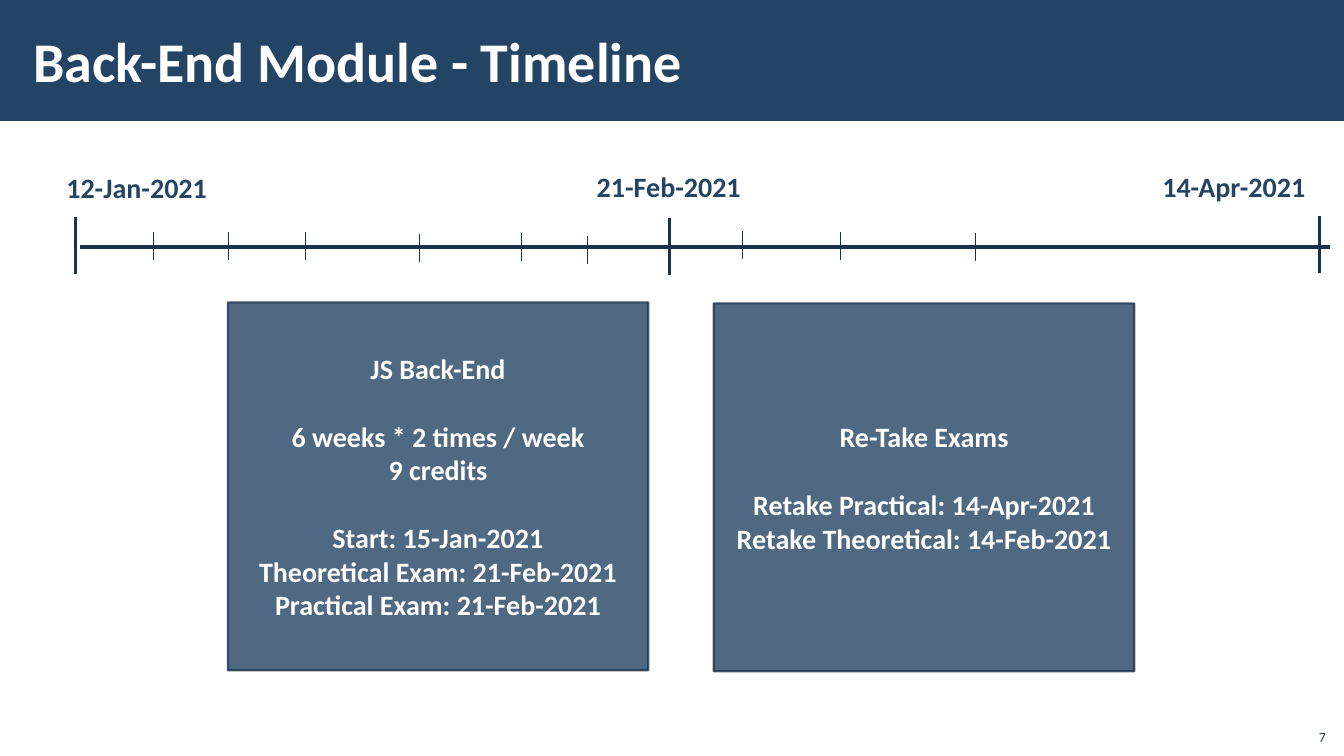
from lxml.etree import SubElement
from pptx import Presentation
from pptx.dml.color import RGBColor
from pptx.enum.shapes import MSO_CONNECTOR, MSO_SHAPE
from pptx.enum.text import MSO_ANCHOR, PP_ALIGN
from pptx.oxml.ns import qn
from pptx.util import Inches, Pt

COLORS = {"navy": "234465", "line": "1A334C", "white": "FFFFFF"}
TITLE = "Back-End Module - Timeline"
PAGE = "7"
AXIS = (0.79, 13.19, 2.45)
MILESTONES = [
    ("12-Jan-2021", 0.56, 1.64, 1.61, 0.75, 2.15),
    ("21-Feb-2021", 5.82, 1.63, 1.64, 6.64, 2.16),
    ("14-Apr-2021", 11.43, 1.63, 1.65, 13.09, 2.14),
]
WEEKS = [
    (1.52, 2.3), (2.27, 2.3), (3.03, 2.3), (4.16, 2.32), (5.17, 2.31),
    (5.83, 2.34), (7.36, 2.29), (8.33, 2.3), (9.67, 2.31),
]
PHASES = [
    (2.26, 3, [
        ["JS Back-End"],
        ["6 weeks * 2 times / week", "9 credits"],
        ["Start: 15-Jan-2021", "Theoretical Exam: 21-Feb-2021",
         "Practical Exam: 21-Feb-2021"],
    ]),
    (7.08, 3.01, [
        ["Re-Take Exams"],
        ["Retake Practical: 14-Apr-2021", "Retake Theoretical: 14-Feb-2021"],
    ]),
]
PHASE_SIZE = (4.17, 3.65)
MAJOR = {"height": 0.57, "width": 2.25}
MINOR = {"height": 0.28, "width": 0.5}
LABEL = {"size": Pt(20), "bold": True, "name": "Calibri"}
HEADING = {**LABEL, "size": Pt(40)}
NUMBER = {**LABEL, "size": Pt(10), "bold": False}
GAP = Pt(24.4)


def rgb(name):
    return RGBColor.from_string(COLORS[name])


def write(p, text, font, color):
    r = p.add_run()
    r.text = text
    for key, value in font.items():
        setattr(r.font, key, value)
    r.font.color.rgb = rgb(color)


def add_text(s, box, text, font, color, frame, align=PP_ALIGN.LEFT):
    tf = s.shapes.add_textbox(*map(Inches, box)).text_frame
    for key, value in frame.items():
        setattr(tf, key, value)
    p = tf.paragraphs[0]
    p.alignment = align
    write(p, text, font, color)


def add_line(s, x1, y1, x2, y2, width):
    c = s.shapes.add_connector(MSO_CONNECTOR.STRAIGHT, *map(Inches, (x1, y1, x2, y2)))
    c.line.color.rgb = rgb("line")
    c.line.width = Pt(width)
    SubElement(c._element.spPr, qn("a:effectLst"))


def add_tick(s, x, y, style):
    add_line(s, x, y, x, y + style["height"], style["width"])


def add_rect(s, x, y, w, h):
    sp = s.shapes.add_shape(MSO_SHAPE.RECTANGLE, *map(Inches, (x, y, w, h)))
    sp.shadow.inherit = False
    sp.fill.solid()
    sp.fill.fore_color.rgb = rgb("navy")
    return sp


def add_phase(s, x, y, groups):
    sp = add_rect(s, x, y, *PHASE_SIZE)
    sp.line.color.rgb = rgb("line")
    sp.line.width = Pt(1.5)
    for color in sp._element.spPr.iter(qn("a:srgbClr")):
        SubElement(color, qn("a:alpha"), val="80000")
    tf = sp.text_frame
    tf.word_wrap = True
    tf.vertical_anchor = MSO_ANCHOR.MIDDLE
    lines = [(text, g > 0 and i == 0)
             for g, group in enumerate(groups) for i, text in enumerate(group)]
    for n, (text, spaced) in enumerate(lines):
        p = tf.add_paragraph() if n else tf.paragraphs[0]
        p.alignment = PP_ALIGN.CENTER
        if spaced:
            p.space_before = GAP
        write(p, text, LABEL, "white")


def main():
    prs = Presentation()
    prs.slide_width, prs.slide_height = Inches(13.33), Inches(7.5)
    s = prs.slides.add_slide(prs.slide_layouts[6])

    add_rect(s, 0, 0, 13.33, 1.2).line.fill.background()
    add_text(s, (0.21, 0.11, 10.63, 0.97), TITLE, HEADING, "white", {
        "word_wrap": True, "vertical_anchor": MSO_ANCHOR.MIDDLE,
        "margin_left": Inches(0.12), "margin_right": Inches(0.12),
        "margin_top": Inches(0.04), "margin_bottom": Inches(0.04)})

    left, right, y = AXIS
    add_line(s, left, y, right, y, MAJOR["width"])
    for text, x, top, w, tick_x, tick_y in MILESTONES:
        add_tick(s, tick_x, tick_y, MAJOR)
        add_text(s, (x, top, w, 0.44), text, LABEL, "navy", {"word_wrap": False})
    for x, top in WEEKS:
        add_tick(s, x, top, MINOR)
    for phase in PHASES:
        add_phase(s, *phase)

    add_text(s, (12.85, 7.12, 0.4, 0.32), PAGE, NUMBER, "navy",
             {"word_wrap": True, "vertical_anchor": MSO_ANCHOR.BOTTOM}, PP_ALIGN.RIGHT)
    prs.save("out.pptx")


if __name__ == "__main__":
    main()
